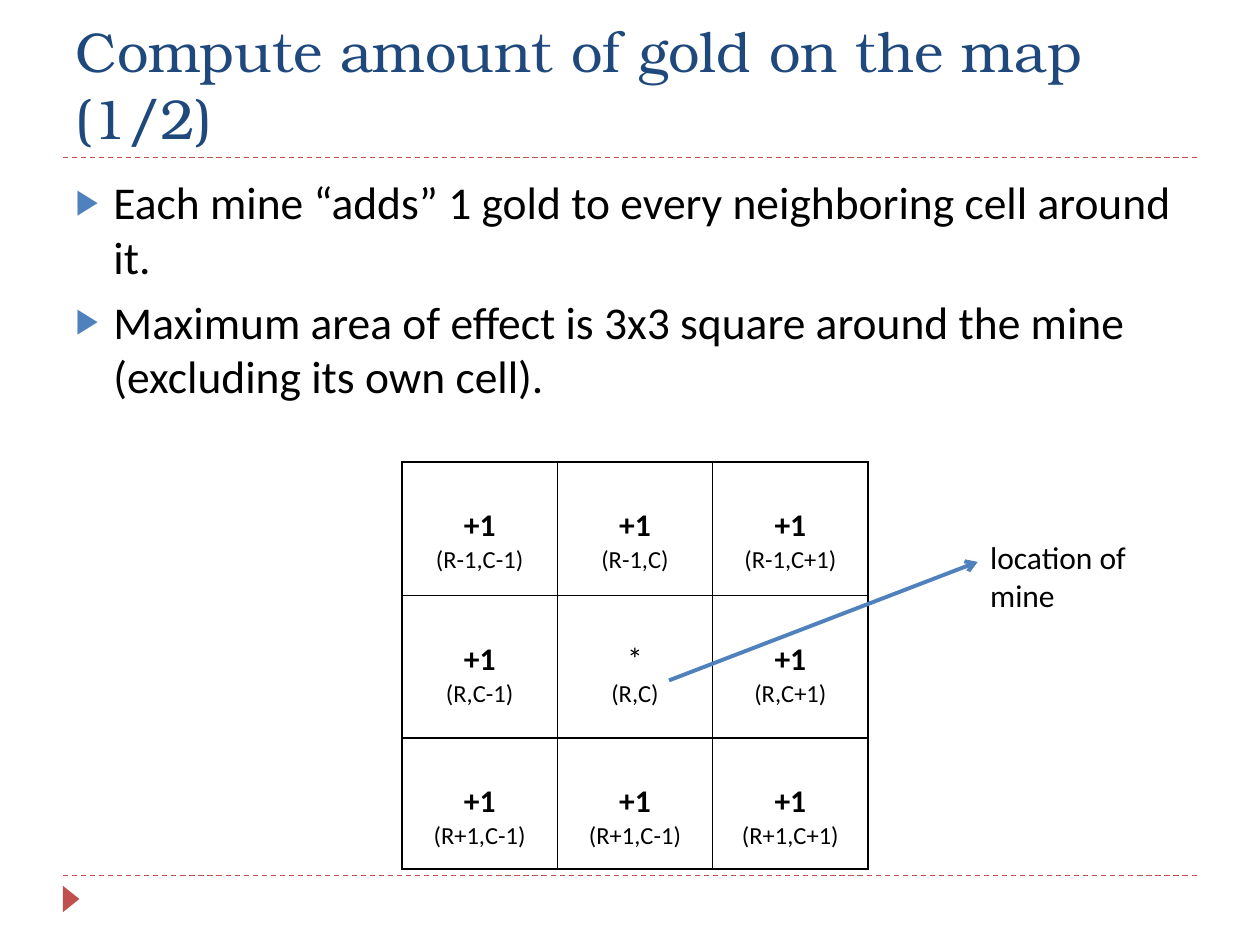
from lxml import etree
from pptx import Presentation
from pptx.dml.color import RGBColor
from pptx.enum.dml import MSO_LINE
from pptx.enum.shapes import MSO_CONNECTOR, MSO_SHAPE
from pptx.enum.text import MSO_ANCHOR, MSO_AUTO_SIZE, PP_ALIGN
from pptx.oxml.ns import qn
from pptx.util import Pt

LEFT, CENTER = PP_ALIGN.LEFT, PP_ALIGN.CENTER
TOP, BOTTOM = MSO_ANCHOR.TOP, MSO_ANCHOR.BOTTOM
NO_FIT = MSO_AUTO_SIZE.NONE
STRAIGHT, TRIANGLE, DASH = MSO_CONNECTOR.STRAIGHT, MSO_SHAPE.ISOSCELES_TRIANGLE, MSO_LINE.DASH

# Content
TITLE = "Compute amount of gold on the map (1/2)"
BULLETS = [
    "Each mine “adds” 1 gold to every neighboring cell around it.",
    "Maximum area of effect is 3x3 square around the mine (excluding its own cell).",
]
GRID = [
    [("+1", "(R-1,C-1)"), ("+1", "(R-1,C)"), ("+1", "(R-1,C+1)")],
    [("+1", "(R,C-1)"), ("*", "(R,C)"), ("+1", "(R,C+1)")],
    [("+1", "(R+1,C-1)"), ("+1", "(R+1,C-1)"), ("+1", "(R+1,C+1)")],
]
MINE_LABEL = "location of mine"

# Layout, in points
MARGIN, CONTENT_W = 36, 648
RULES_Y = [90, 500.4]
GRID_LEFT, GRID_TOP, COL_W = 229.7, 264, 88.8
ROW_H = [76.3, 81.4, 74.9]

THEME = {
    "title_font": "TeX Gyre Bonum", "font": "Calibri",
    "title": "1F497D", "text": "000000", "accent": "4F81BD", "rule": "C0504D",
    "title_size": 32, "body_size": 26, "value_size": 18, "coord_size": 14,
}


def rgb(key):
    return RGBColor.from_string(THEME[key])


def style(p, size, color="text", font="font", bold=False):
    for r in p.runs:
        r.font.name = THEME[font]
        r.font.size = Pt(THEME[size])
        r.font.color.rgb = rgb(color)
        r.font.bold = bold


def place(sp, left, top, width, height):
    sp.left, sp.top, sp.width, sp.height = Pt(left), Pt(top), Pt(width), Pt(height)


def add_bullet(p):
    pPr = p._p.get_or_add_pPr()
    pPr.set("marL", str(Pt(21.6)))
    pPr.set("indent", str(-Pt(21.6)))
    color = etree.SubElement(pPr, qn("a:buClr"))
    etree.SubElement(color, qn("a:srgbClr"), val=THEME["accent"])
    etree.SubElement(pPr, qn("a:buSzPct"), val="76000")
    etree.SubElement(pPr, qn("a:buChar"), char="▶")


def add_line(s, x1, y1, x2, y2, color, width):
    line = s.shapes.add_connector(STRAIGHT, Pt(x1), Pt(y1), Pt(x2), Pt(y2))
    line.line.color.rgb = rgb(color)
    line.line.width = Pt(width)
    etree.SubElement(line._element.spPr, qn("a:effectLst"))
    return line


def add_borders(cell):
    tcPr = cell._tc.get_or_add_tcPr()
    for i, side in enumerate(("a:lnL", "a:lnR", "a:lnT", "a:lnB")):
        ln = etree.Element(qn(side), w=str(Pt(1)))
        fill = etree.SubElement(ln, qn("a:solidFill"))
        etree.SubElement(fill, qn("a:srgbClr"), val=THEME["text"])
        tcPr.insert(i, ln)


def fill_cell(cell, value, coord):
    cell.fill.background()
    cell.vertical_anchor = TOP
    cell.margin_top = Pt(25.6)
    tf = cell.text_frame
    tf.text = f"{value}\n{coord}"
    for p, size in zip(tf.paragraphs, ("value_size", "coord_size")):
        p.alignment = CENTER
        style(p, size, bold=p.text == "+1")
    add_borders(cell)


def main():
    prs = Presentation()
    prs.slide_width, prs.slide_height = Pt(720), Pt(540)
    s = prs.slides.add_slide(prs.slide_layouts[1])

    # Dashed rules and corner marker
    for y in RULES_Y:
        rule = add_line(s, MARGIN, y, MARGIN + CONTENT_W, y, "rule", 0.75)
        rule.line.dash_style = DASH
    marker = s.shapes.add_shape(TRIANGLE, Pt(33.1), Pt(509), Pt(15.1), Pt(9.4))
    marker.rotation = 90
    marker.shadow.inherit = False
    marker.fill.solid()
    marker.fill.fore_color.rgb = rgb("rule")
    marker.line.fill.background()

    # Title
    title = s.shapes.title
    place(title, MARGIN, 12.2, CONTENT_W, 77.8)
    tf = title.text_frame
    tf.text = TITLE
    tf.auto_size, tf.vertical_anchor = NO_FIT, BOTTOM
    tf.paragraphs[0].alignment = LEFT
    style(tf.paragraphs[0], "title_size", "title", "title_font")

    # Bullets
    body = s.placeholders[1]
    place(body, MARGIN, 95.8, CONTENT_W, 388.8)
    tf = body.text_frame
    tf.text = "\n".join(BULLETS)
    tf.auto_size = NO_FIT
    for i, p in enumerate(tf.paragraphs):
        add_bullet(p)
        p.space_before = Pt(6 if i else 0)
        style(p, "body_size")

    # Grid of cells around the mine
    frame = s.shapes.add_table(len(GRID), len(GRID[0]), Pt(GRID_LEFT), Pt(GRID_TOP),
                               Pt(COL_W * len(GRID[0])), Pt(sum(ROW_H)))
    table = frame.table
    table.first_row = table.horz_banding = False
    for col in table.columns:
        col.width = Pt(COL_W)
    for row, height, entries in zip(table.rows, ROW_H, GRID):
        row.height = Pt(height)
        for cell, (value, coord) in zip(row.cells, entries):
            fill_cell(cell, value, coord)

    # Arrow from the mine to its label
    arrow = add_line(s, 382.3, 388.8, 558.7, 321.1, "accent", 2.25)
    etree.SubElement(arrow.line._get_or_add_ln(), qn("a:tailEnd"), type="arrow")
    label = s.shapes.add_textbox(Pt(558.7), Pt(303.8), Pt(118.8), Pt(51.1))
    tf = label.text_frame
    tf.word_wrap = True
    tf.text = MINE_LABEL
    style(tf.paragraphs[0], "value_size")

    prs.save("out.pptx")


if __name__ == "__main__":
    main()
